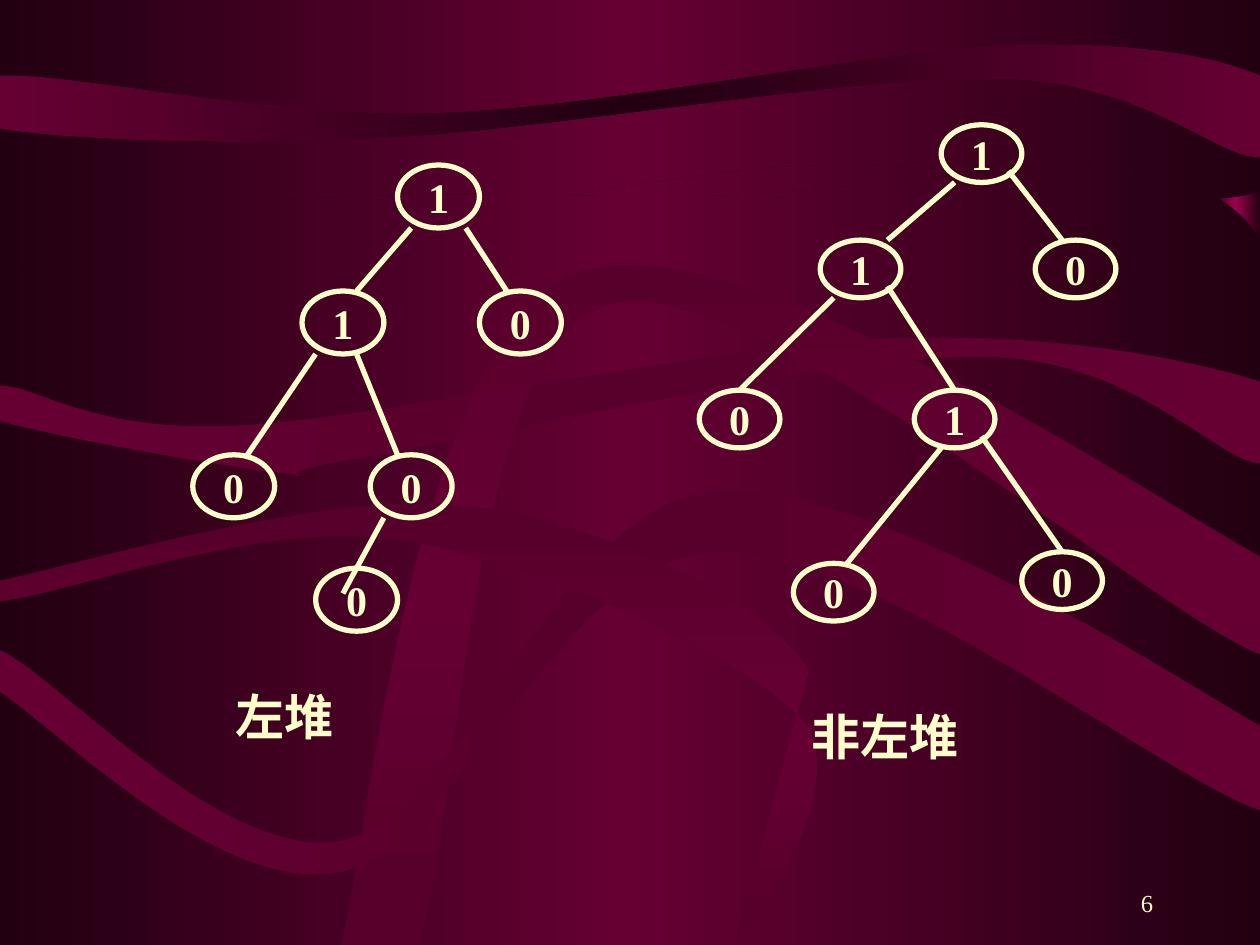
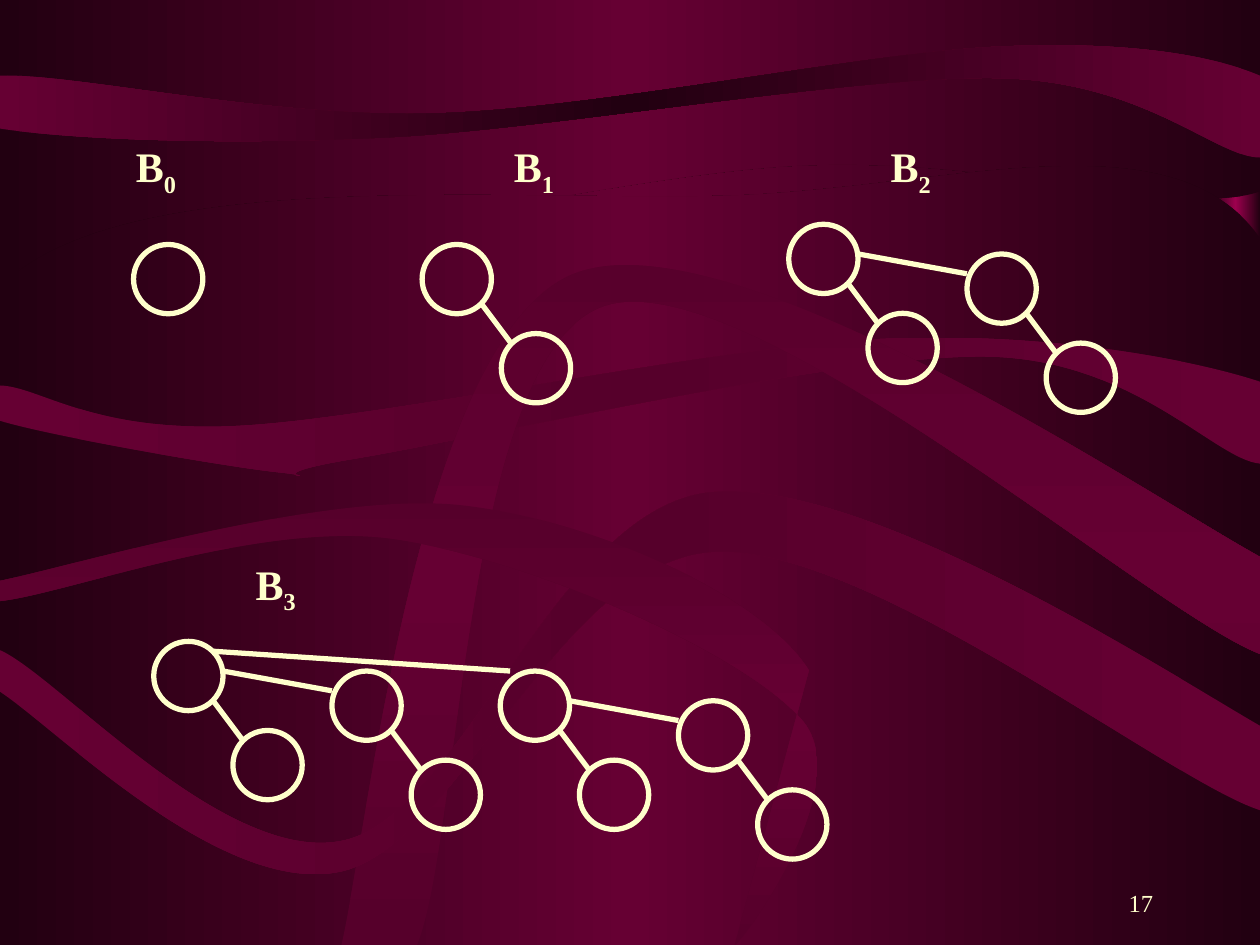
from copy import deepcopy
from dataclasses import dataclass

from lxml.etree import Element, SubElement
from pptx import Presentation
from pptx.dml.color import RGBColor
from pptx.enum.shapes import MSO_CONNECTOR as Connector, MSO_SHAPE as Preset
from pptx.enum.text import MSO_ANCHOR as Anchor, PP_ALIGN as Align
from pptx.oxml.ns import qn
from pptx.util import Inches, Pt

# Shared look
WIDTH, HEIGHT = 10, 7.5
CREAM = RGBColor.from_string("FFFFCC")
NIGHT = RGBColor.from_string("220011")
WINE = RGBColor.from_string("660033")
PLUM = RGBColor.from_string("56002B")
ROSE = RGBColor.from_string("9C004E")
FONT = "Times New Roman"
STROKE = Pt(3)


@dataclass(frozen=True)
class Band:
    """Background ribbon: a smooth closed loop through a few points."""
    edge: RGBColor
    middle: RGBColor
    loop: tuple
    upright: bool = False
    straight_end: bool = False


@dataclass(frozen=True)
class Grid:
    """Maps columns and rows to inches."""
    left: float
    top: float
    column: float
    row: float

    def at(self, column: float, row: float) -> tuple:
        return self.left + column * self.column, self.top + row * self.row


@dataclass(frozen=True)
class HeapNode:
    """The link runs from a grid point to a column at the top of the node."""
    column: int
    row: int
    value: str
    link_from: tuple = ()
    link_column: int = 0
    link_depth: int = 0


@dataclass(frozen=True)
class Joint:
    """How the second half of a binomial tree is shifted and linked, in steps."""
    shift: tuple
    link_from: tuple
    link_to: tuple


BANDS = (
    Band(NIGHT, WINE, ((0, 0), (WIDTH, 0), (WIDTH, 1.52), (6.25, 1.32), (0, 2.11))),
    Band(NIGHT, WINE, ((0, 2.28), (5.86, 1.55), (WIDTH, 1.89), (WIDTH, HEIGHT),
                       (0, HEIGHT))),
    Band(WINE, NIGHT, ((0, 0.6), (0, 1.02), (3.08, 1.09), (7.94, 0.62),
                       (WIDTH, 1.25), (WIDTH, 0.6), (7.92, 0.37), (3.45, 0.9))),
    Band(WINE, PLUM, ((0, 3.06), (0, 3.34), (2.22, 3.75), (2.82, 3.64), (7.8, 2.83),
                      (WIDTH, 3.68), (WIDTH, 3.03), (7.01, 2.69), (1.9, 3.38))),
    Band(PLUM, WINE, ((2.71, HEIGHT), (4.54, 2.18), (WIDTH, 4.42), (WIDTH, 5.19),
                      (4.79, 2.43), (3.31, HEIGHT)), upright=True),
    Band(WINE, PLUM, ((0, 5.16), (0, 5.49), (2.69, 6.92), (5.65, 4.38),
                      (WIDTH, 6.43), (WIDTH, 5.76), (5.62, 3.91), (2.73, 6.67))),
    Band(PLUM, WINE, ((6.42, 5.32), (3.66, 4.01), (0, 4.61), (0, 4.77), (3.14, 4.28),
                      (6.37, 5.72), (5.83, HEIGHT)), upright=True, straight_end=True),
)

# Heaps: every node is 6 columns wide and 5 rows high
NODE_COLUMNS, NODE_ROWS = 6, 5
LEFTIST_GRID = Grid(1.53, 1.31, 0.65 / NODE_COLUMNS, 0.5 / NODE_ROWS)
LEFTIST = (
    HeapNode(15, 0, "1"),
    HeapNode(21, 10, "0", (20, 5), 23),
    HeapNode(8, 10, "1", (16, 5), 12),
    HeapNode(0, 23, "0", (9, 15), 4),
    HeapNode(13, 23, "0", (12, 15), 15),
    HeapNode(9, 32, "0", (14, 28), 11, link_depth=2),
)
NOT_LEFTIST_GRID = Grid(5.55, 0.99, 0.64 / NODE_COLUMNS, 0.458 / NODE_ROWS)
NOT_LEFTIST = (
    HeapNode(18, 0, "1"),
    HeapNode(9, 10, "1", (19, 5), 14),
    HeapNode(25, 10, "0", (23, 4), 27),
    HeapNode(0, 23, "0", (10, 15), 3),
    HeapNode(16, 23, "1", (14, 14), 19),
    HeapNode(7, 38, "0", (18, 28), 11),
    HeapNode(24, 37, "0", (21, 27), 27),
)

# Binomial trees: a node is 7 steps wide, and B(k) joins two B(k-1)
NODE_STEPS = 7
STEP = 0.55 / NODE_STEPS
JOINTS = (
    Joint((8, 9), (6, 6), (9, 10)),
    Joint((18, 3), (7, 3), (18, 5)),
    Joint((35, 3), (6, 1), (36, 3)),
)
# By order: tree left, tree top, label left, label top
LABEL_TOP = 1.07
BINOMIAL_PLACES = (
    (1.06, 1.94, 0.98, LABEL_TOP),
    (3.35, 1.94, 3.98, LABEL_TOP),
    (6.26, 1.78, 6.97, LABEL_TOP),
    (1.22, 5.09, 1.93, 4.38),
)


def inches(*lengths: float) -> list:
    return [Inches(length) for length in lengths]


def set_gradient(fill, edge: RGBColor, middle: RGBColor, upright: bool = False) -> None:
    fill.gradient()
    fill.gradient_angle = 90 if upright else 0
    first = fill.gradient_stops[0]._gs
    first.getparent().append(deepcopy(first))
    for index, colour in enumerate((edge, middle, edge)):
        stop = fill.gradient_stops[index]
        stop.color.rgb = colour
        stop.position = index / 2


def on_slide_edge(start: tuple, end: tuple) -> bool:
    return (start[0] == end[0] and start[0] in (0, WIDTH)
            or start[1] == end[1] and start[1] in (0, HEIGHT))


def loop_segments(band: Band) -> list:
    """Points of each segment: one for a line, three for a Catmull-Rom curve."""
    loop, count, segments = band.loop, len(band.loop), []
    for i, start in enumerate(loop):
        before, end, after = (loop[(i + k) % count] for k in (-1, 1, 2))
        last = i == count - 1
        if on_slide_edge(start, end) or last and band.straight_end:
            segments.append([end])
        else:
            leave = tuple(s + (e - b) / 6 for s, e, b in zip(start, end, before))
            arrive = tuple(e - (a - s) / 6 for s, e, a in zip(start, end, after))
            segments.append([leave, arrive, end])
    return segments


def add_band(slide, band: Band):
    """Outline through all points, then turn triples of points into curves."""
    segments = loop_segments(band)
    builder = slide.shapes.build_freeform(*inches(*band.loop[0]), scale=1.0)
    builder.add_line_segments(
        [inches(*point) for segment in segments for point in segment], close=True)
    ribbon = builder.convert_to_shape()
    lines = iter(ribbon._element.findall(".//" + qn("a:lnTo")))
    for segment in segments:
        parts = [next(lines) for _ in segment]
        if len(parts) > 1:
            curve = Element(qn("a:cubicBezTo"))
            parts[0].addprevious(curve)
            for part in parts:
                curve.append(part[0])
                part.getparent().remove(part)
    set_gradient(ribbon.fill, band.edge, band.middle, band.upright)
    return ribbon


def decorate_master(slide) -> None:
    """Draw the backdrop once and move it behind everything on the master."""
    master = slide.slide_layout.slide_master
    set_gradient(master.background.fill, NIGHT, WINE)
    strip = slide.shapes.add_shape(Preset.RECTANGLE, *inches(9.61, 0.49, 0.39, 3.45))
    set_gradient(strip.fill, NIGHT, ROSE)
    backdrop = [strip] + [add_band(slide, band) for band in BANDS]
    for position, piece in enumerate(backdrop, start=2):
        piece.shadow.inherit = False
        piece.line.fill.background()
        master.shapes._spTree.insert(position, piece._element)


def add_run(paragraph, text: str, size: int, bold: bool = True,
            subscript: bool = False) -> None:
    run = paragraph.add_run()
    run.text = text
    run.font.name, run.font.size, run.font.bold = FONT, Pt(size), bold
    run.font.color.rgb = CREAM
    if subscript:
        run.font._element.set("baseline", "-25000")


def add_text(slide, left: float, top: float, width: float, height: float):
    """Empty text box whose paragraph has half a line of space before it."""
    frame = slide.shapes.add_textbox(*inches(left, top, width, height)).text_frame
    frame.word_wrap = True
    paragraph = frame.paragraphs[0]
    before = SubElement(paragraph._p.get_or_add_pPr(), qn("a:spcBef"))
    SubElement(before, qn("a:spcPct"), val="50000")
    return frame, paragraph


def add_page_number(slide, number: int) -> None:
    frame, paragraph = add_text(slide, 7.17, 6.83, 2.08, 0.5)
    frame.vertical_anchor = Anchor.BOTTOM
    paragraph.alignment = Align.RIGHT
    add_run(paragraph, str(number), 14, bold=False)


def add_node(slide, left: float, top: float, width: float, height: float,
             value: str = "") -> None:
    node = slide.shapes.add_shape(Preset.OVAL, *inches(left, top, width, height))
    node.shadow.inherit = False
    node.fill.background()
    node.line.color.rgb, node.line.width = CREAM, STROKE
    if value:
        frame = node.text_frame
        frame.word_wrap = False
        frame.vertical_anchor = Anchor.MIDDLE
        frame.paragraphs[0].alignment = Align.CENTER
        add_run(frame.paragraphs[0], value, 24)


def add_edge(slide, start: tuple, end: tuple) -> None:
    edge = slide.shapes.add_connector(Connector.STRAIGHT, *inches(*start, *end))
    edge.line.color.rgb, edge.line.width = CREAM, STROKE
    SubElement(edge._element.spPr, qn("a:effectLst"))


def draw_heap(slide, grid: Grid, nodes: tuple) -> None:
    for node in nodes:
        add_node(slide, *grid.at(node.column, node.row), NODE_COLUMNS * grid.column,
                 NODE_ROWS * grid.row, node.value)
        if node.link_from:
            add_edge(slide, grid.at(*node.link_from),
                     grid.at(node.link_column, node.row + node.link_depth))


def draw_binomial(slide, order: int, left: float, top: float) -> None:
    if order == 0:
        add_node(slide, left, top, NODE_STEPS * STEP, NODE_STEPS * STEP)
        return
    joint, grid = JOINTS[order - 1], Grid(left, top, STEP, STEP)
    draw_binomial(slide, order - 1, left, top)
    draw_binomial(slide, order - 1, *grid.at(*joint.shift))
    add_edge(slide, grid.at(*joint.link_from), grid.at(*joint.link_to))


deck = Presentation()
deck.slide_width, deck.slide_height = inches(WIDTH, HEIGHT)
blank_layout = deck.slide_layouts[6]

# Leftist heap beside a heap that is not leftist
heap_slide = deck.slides.add_slide(blank_layout)
decorate_master(heap_slide)
add_page_number(heap_slide, 6)
draw_heap(heap_slide, LEFTIST_GRID, LEFTIST)
draw_heap(heap_slide, NOT_LEFTIST_GRID, NOT_LEFTIST)
for caption, place in (("左堆", (1.77, 5.4, 1.73, 0.57)),
                       ("非左堆", (6.34, 5.56, 2.36, 0.57))):
    add_run(add_text(heap_slide, *place)[1], caption, 28)

# Binomial trees of order 0 to 3
binomial_slide = deck.slides.add_slide(blank_layout)
add_page_number(binomial_slide, 17)
for order, (left, top, label_left, label_top) in enumerate(BINOMIAL_PLACES):
    draw_binomial(binomial_slide, order, left, top)
    label = add_text(binomial_slide, label_left, label_top, 0.79, 0.5)[1]
    add_run(label, "B", 24)
    add_run(label, str(order), 24, subscript=True)

deck.save("out.pptx")
